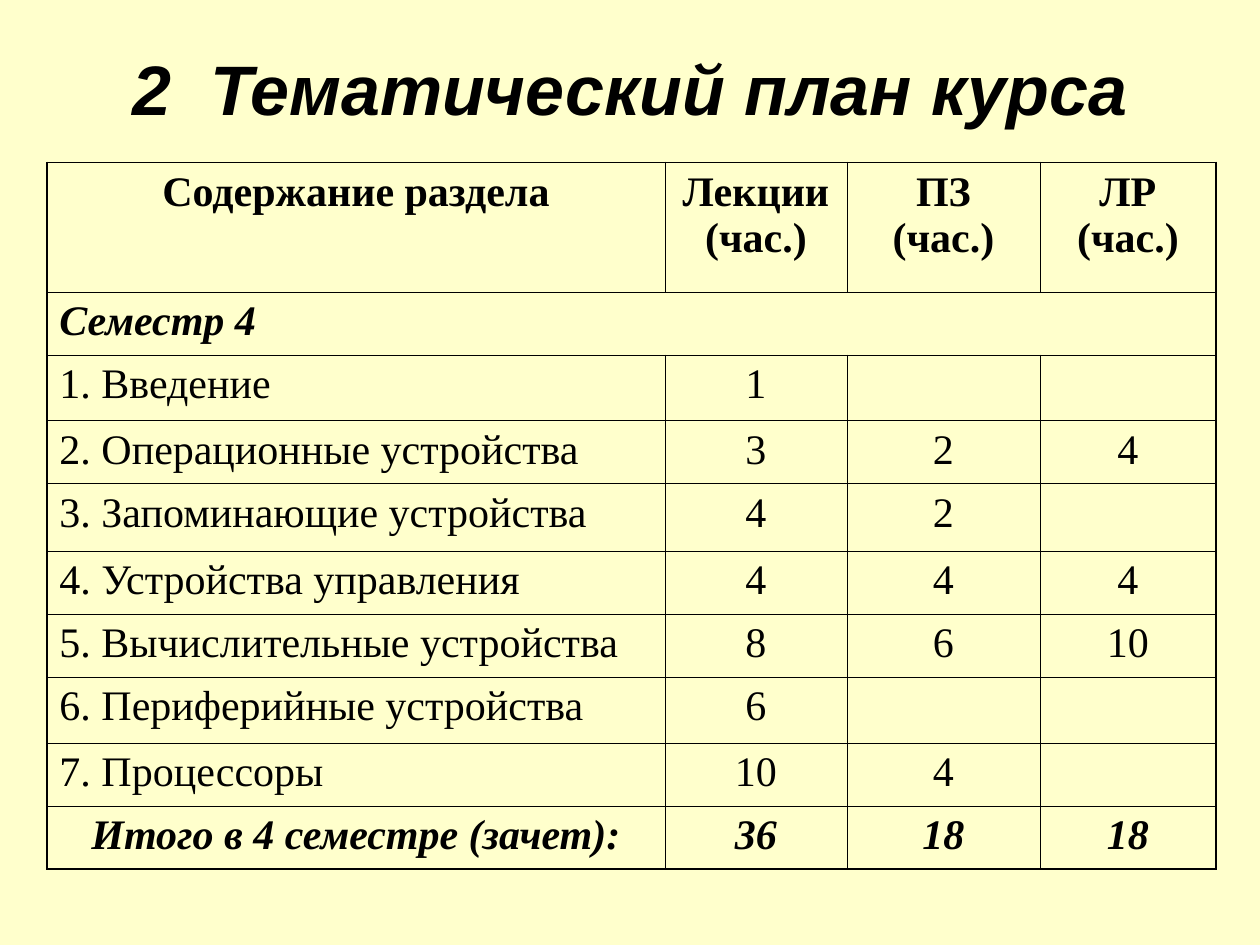
import pptx
import pptx.dml.color
import pptx.enum.text
import pptx.util
from lxml import etree
from pptx.oxml.ns import qn

Pt = pptx.util.Pt
Align = pptx.enum.text.PP_ALIGN

THEME = {
    "background": "FFFFCC",
    "ink": "000000",
    "title_font": "Arial",
    "title_size": 40,
    "table_font": "Times New Roman",
    "table_size": 24,
    "outer_line": 1.08,
    "inner_line": 0.45,
}

COLUMN_WIDTHS = [353.2, 104, 110.3, 100.6]
ROW_HEIGHTS = [74, 36, 37.6, 36, 38.4, 36, 36, 37.8, 36, 36]
ROWS = [
    ["Содержание раздела", "Лекции\n(час.)", "ПЗ\v(час.)", "ЛР (час.)"],
    ["Семестр 4", "", "", ""],
    ["1. Введение", "1", "", ""],
    ["2. Операционные устройства", "3", "2", "4"],
    ["3. Запоминающие устройства", "4", "2", ""],
    ["4. Устройства управления", "4", "4", "4"],
    ["5. Вычислительные устройства", "8", "6", "10"],
    ["6. Периферийные устройства", "6", "", ""],
    ["7. Процессоры", "10", "4", ""],
    ["Итого в 4 семестре (зачет):", "36", "18", "18"],
]
SEMESTER_ROW = 1
LAST_ROW = len(ROWS) - 1
LAST_COLUMN = len(COLUMN_WIDTHS) - 1


def format_paragraph(paragraph, font_name, size, bold, italic, alignment):
    paragraph.alignment = alignment
    for run in paragraph.runs:
        run.font.name = font_name
        run.font.size = Pt(size)
        run.font.bold = bold
        run.font.italic = italic
        run.font.color.rgb = pptx.dml.color.RGBColor.from_string(THEME["ink"])


def set_borders(cell, outer_sides):
    properties = cell._tc.get_or_add_tcPr()
    for position, side in enumerate("LRTB"):
        width = THEME["outer_line" if side in outer_sides else "inner_line"]
        line = etree.Element(qn(f"a:ln{side}"), w=str(Pt(width)))
        fill = etree.SubElement(line, qn("a:solidFill"))
        etree.SubElement(fill, qn("a:srgbClr"), val=THEME["ink"])
        properties.insert(position, line)


# Slide and background
presentation = pptx.Presentation()
presentation.slide_width = Pt(720)
presentation.slide_height = Pt(540)
slide = presentation.slides.add_slide(presentation.slide_layouts[6])
slide.background.fill.solid()
slide.background.fill.fore_color.rgb = pptx.dml.color.RGBColor.from_string(THEME["background"])

# Title
title = slide.shapes.add_textbox(Pt(36), Pt(21.6), Pt(648), Pt(57))
title.text_frame.word_wrap = True
title.text_frame.vertical_anchor = pptx.enum.text.MSO_ANCHOR.MIDDLE
title.text_frame.text = "2  Тематический план курса"
format_paragraph(title.text_frame.paragraphs[0], THEME["title_font"],
                 THEME["title_size"], True, True, Align.CENTER)

# Table grid
table = slide.shapes.add_table(len(ROWS), len(COLUMN_WIDTHS), Pt(26.8), Pt(92.8),
                               Pt(sum(COLUMN_WIDTHS)), Pt(sum(ROW_HEIGHTS))).table
table.first_row = False
table.horz_banding = False
for column, width in zip(table.columns, COLUMN_WIDTHS):
    column.width = Pt(width)
for row, height in zip(table.rows, ROW_HEIGHTS):
    row.height = Pt(height)
table.cell(SEMESTER_ROW, 0).merge(table.cell(SEMESTER_ROW, LAST_COLUMN))

# Table cells
for row_index, texts in enumerate(ROWS):
    is_topic = SEMESTER_ROW < row_index < LAST_ROW
    for column_index, text in enumerate(texts):
        cell = table.cell(row_index, column_index)
        cell.fill.background()
        if cell.is_spanned:
            continue

        # The frame is thicker than the inner grid
        edges = {
            "L": column_index == 0,
            "R": column_index == LAST_COLUMN or cell.is_merge_origin,
            "T": row_index == 0,
            "B": row_index == LAST_ROW,
        }
        set_borders(cell, [side for side, is_outer in edges.items() if is_outer])

        is_left = column_index == 0 and (is_topic or row_index == SEMESTER_ROW)
        cell.text_frame.text = text
        for paragraph in cell.text_frame.paragraphs:
            format_paragraph(paragraph, THEME["table_font"], THEME["table_size"],
                             not is_topic, row_index in (SEMESTER_ROW, LAST_ROW),
                             Align.LEFT if is_left else Align.CENTER)
            if is_left:
                hanging = Pt(42 if is_topic else 27)
                paragraph_properties = paragraph._p.get_or_add_pPr()
                paragraph_properties.set("marL", str(hanging))
                paragraph_properties.set("indent", str(-hanging))

presentation.save("out.pptx")
